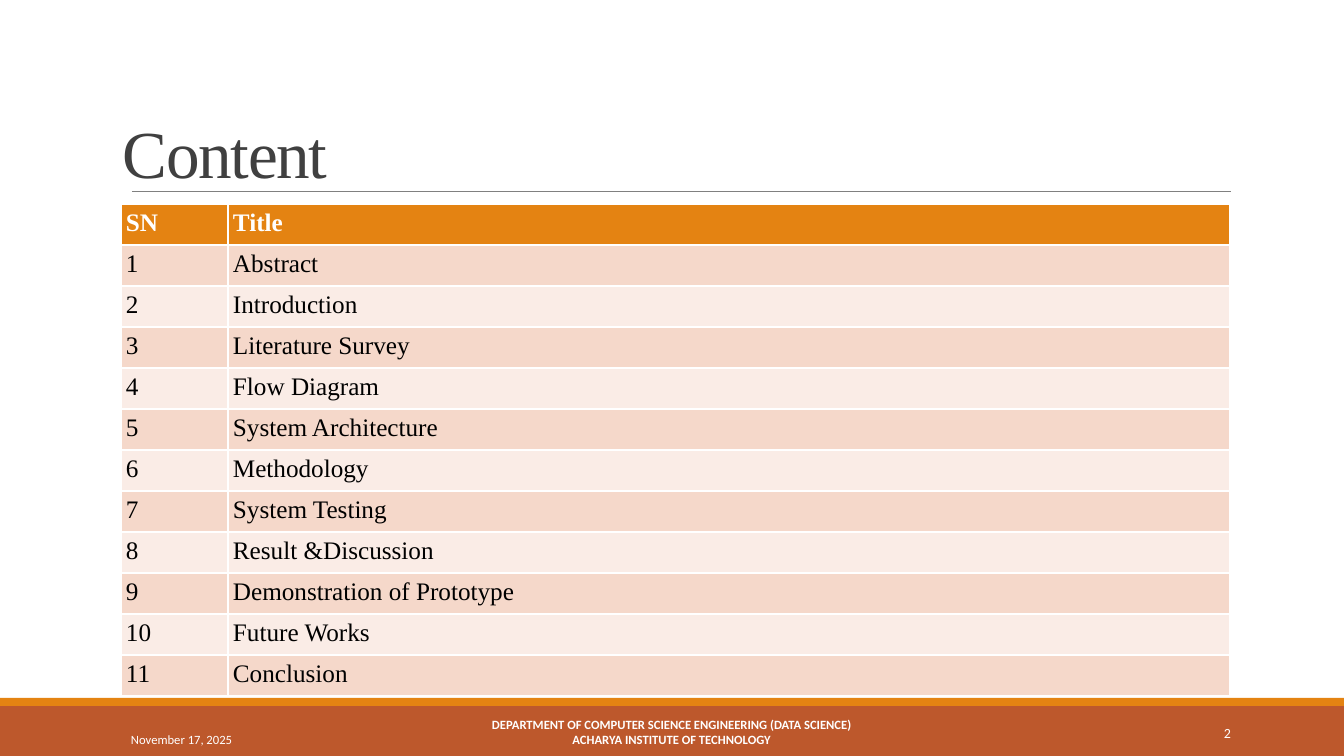
import pptx
import pptx.util
import pptx.dml.color
import pptx.enum.shapes
import pptx.enum.text
import pptx.oxml.ns
import lxml.etree

PX = 914400 / 100.8
COLORS = {
    "white": "FFFFFF", "black": "000000", "title": "404040", "rule": "808080",
    "orange": "E48312", "rust": "BD582C", "band_dark": "F5D8CA", "band_light": "FAECE6",
}
ALIGN = pptx.enum.text.PP_ALIGN
ANCHOR = pptx.enum.text.MSO_ANCHOR


def px(*values):
    return [pptx.util.Emu(round(v * PX)) for v in values]


def write(tf, text, size, font="Calibri", color="white", bold=False, align=ALIGN.LEFT,
          anchor=ANCHOR.MIDDLE, wrap=True, line_spacing=None, spacing=None):
    tf.margin_left, tf.margin_top, tf.margin_right, tf.margin_bottom = px(5, 5, 5, 5)
    tf.vertical_anchor = anchor
    tf.word_wrap = wrap
    for i, line in enumerate(text.split("\n")):
        p = tf.paragraphs[0] if i == 0 else tf.add_paragraph()
        p.alignment = align
        if line_spacing:
            p.line_spacing = line_spacing
        r = p.add_run()
        r.text = line
        r.font.size = pptx.util.Pt(size)
        r.font.name = font
        r.font.bold = bold
        r.font.color.rgb = pptx.dml.color.RGBColor.from_string(COLORS[color])
        if spacing is not None:
            r.font._element.set("spc", str(spacing))


prs = pptx.Presentation()
prs.slide_width, prs.slide_height = px(1344, 756)
s = prs.slides.add_slide(prs.slide_layouts[5])

# Footer bands
for top, height, color in [(706, 50, "rust"), (698, 8, "orange")]:
    sp = s.shapes.add_shape(pptx.enum.shapes.MSO_SHAPE.RECTANGLE, *px(0, top, 1344, height))
    sp.shadow.inherit = False
    sp.fill.solid()
    sp.fill.fore_color.rgb = pptx.dml.color.RGBColor.from_string(COLORS[color])
    sp.line.fill.background()

# Rule under the title
rule = s.shapes.add_connector(pptx.enum.shapes.MSO_CONNECTOR.STRAIGHT, *px(132, 191, 1231, 191))
rule.line.color.rgb = pptx.dml.color.RGBColor.from_string(COLORS["rule"])
rule.line.width = pptx.util.Pt(0.5)
lxml.etree.SubElement(rule._element.spPr, pptx.oxml.ns.qn("a:effectLst"))

# Title
title = s.shapes.title
title.left, title.top, title.width, title.height = px(118, 37, 1109, 160)
title.text_frame.auto_size = pptx.enum.text.MSO_AUTO_SIZE.NONE
write(title.text_frame, "Content", 48, font="Times New Roman", color="title",
      anchor=ANCHOR.BOTTOM, line_spacing=0.85, spacing=-100)

# Contents table
topics = ["Abstract", "Introduction", "Literature Survey", "Flow Diagram",
          "System Architecture", "Methodology", "System Testing", "Result &Discussion",
          "Demonstration of Prototype", "Future Works", "Conclusion"]
rows = [("SN", "Title")] + [(str(n), topic) for n, topic in enumerate(topics, 1)]
table = s.shapes.add_table(len(rows), 2, *px(121, 204, 1109, 41 * len(rows))).table
table.columns[0].width, table.columns[1].width = px(107, 1002)
for i, row in enumerate(rows):
    header = i == 0
    fill = "orange" if header else "band_dark" if i % 2 else "band_light"
    for j, text in enumerate(row):
        cell = table.cell(i, j)
        cell.fill.solid()
        cell.fill.fore_color.rgb = pptx.dml.color.RGBColor.from_string(COLORS[fill])
        cell.margin_left, cell.margin_top, cell.margin_right, cell.margin_bottom = px(5, 5, 5, 5)
        write(cell.text_frame, text, 18, font="Times New Roman",
              color="white" if header else "black", bold=header, anchor=None)

# Footer text
footers = [
    ((411, 712, 521, 40),
     "DEPARTMENT OF COMPUTER SCIENCE ENGINEERING (DATA SCIENCE)\nACHARYA INSTITUTE OF TECHNOLOGY",
     dict(size=9, bold=True, align=ALIGN.CENTER)),
    ((126, 714, 262, 38), "November 17, 2025", dict(size=9, anchor=ANCHOR.BOTTOM)),
    ((1218, 720, 18, 25), "2", dict(size=10, align=ALIGN.RIGHT, wrap=False)),
]
for box, text, style in footers:
    write(s.shapes.add_textbox(*px(*box)).text_frame, text, **style)

prs.save("out.pptx")
